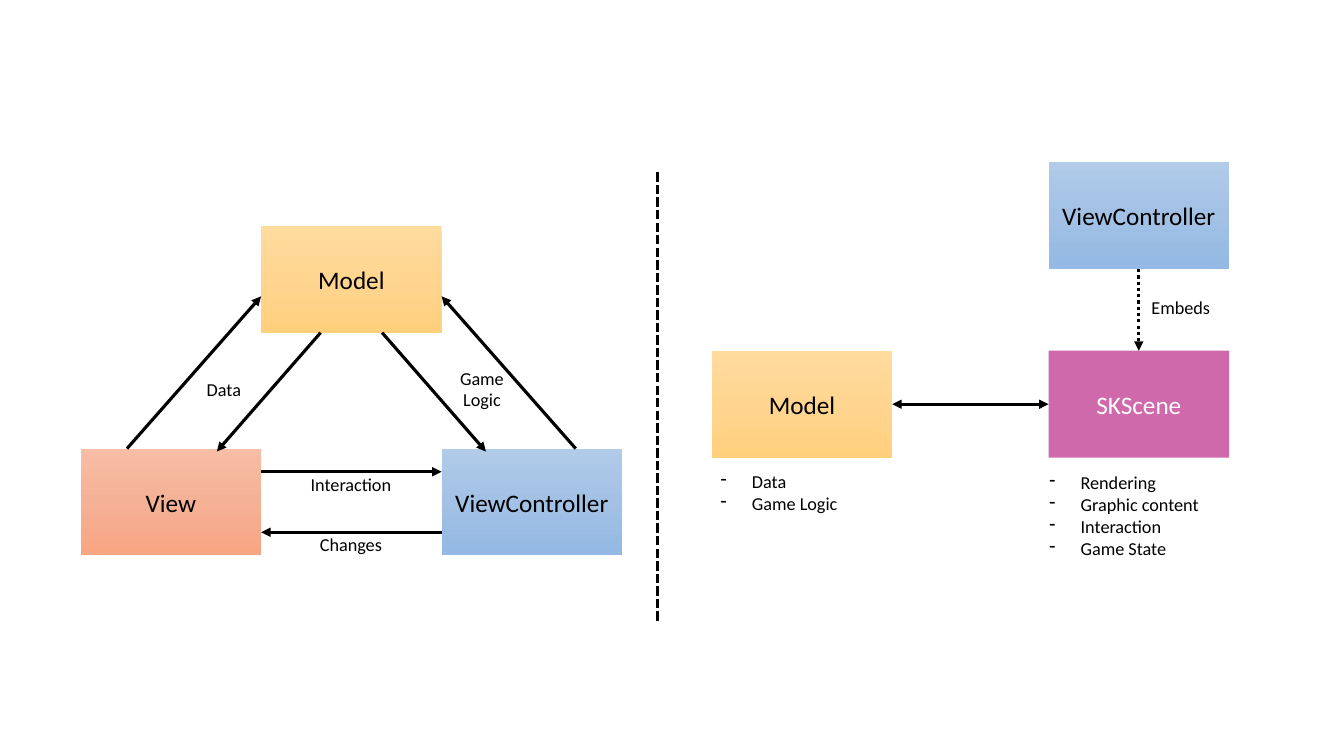
"""Compare a Model-View-Controller triangle with a scene-based architecture."""
from copy import deepcopy
from typing import NamedTuple, Optional

from lxml import etree
from pptx import Presentation
from pptx import util as u
from pptx.dml.color import RGBColor
from pptx.enum import dml, shapes, text
from pptx.oxml import ns

FONT = "Calibri"
COLORS = {"ink": "000000", "paper": "FFFFFF"}
FILLS = {
    "model": ["FFDB9E", "FFD590", "FFD07C"],
    "view": ["F7BDA5", "F5B196", "F8A582"],
    "controller": ["B1CBE9", "A3C1E5", "93B9E4"],
    "scene": ["D069AB"],
}
BOX_W, BOX_H = 1.79, 1.06
VIEW_X, VIEW_Y = 0.8, 4.45
MODEL_X, MODEL_Y = VIEW_X + BOX_W, 2.24
CONTROLLER_X = MODEL_X + BOX_W
MODEL_BOTTOM = MODEL_Y + BOX_H
SCENE_X, SCENE_Y = 10.4, 3.48
DATA_MODEL_X = 7.06
HOST_Y = 1.61
SCENE_MID_X, SCENE_MID_Y = SCENE_X + BOX_W / 2, SCENE_Y + BOX_H / 2
LABEL_W, INDENT = 1.14, 0.31


class Component(NamedTuple):
    """A named box of the architecture."""

    name: str
    x: float
    y: float
    fill: str
    ink: str = "ink"


class Link(NamedTuple):
    """A line between two points, with optional arrowheads."""

    start: tuple[float, float]
    end: tuple[float, float]
    ends: tuple[str, ...] = ("tailEnd",)
    dash: Optional[dml.MSO_LINE] = None


class Caption(NamedTuple):
    """A centred label or a dashed list."""

    lines: list[str]
    x: float
    y: float
    width: float = LABEL_W
    height: float = 0.32
    listed: bool = False


COMPONENTS = [
    Component("View", VIEW_X, VIEW_Y, "view"),
    Component("Model", MODEL_X, MODEL_Y, "model"),
    Component("ViewController", CONTROLLER_X, VIEW_Y, "controller"),
    Component("Model", DATA_MODEL_X, SCENE_Y, "model"),
    Component("SKScene", SCENE_X, SCENE_Y, "scene", "paper"),
    Component("ViewController", SCENE_X, HOST_Y, "controller"),
]
LINKS = [
    Link((6.52, 1.71), (6.52, 6.16), (), dml.MSO_LINE.SQUARE_DOT),
    Link((MODEL_X, 4.68), (CONTROLLER_X, 4.68)),
    Link((CONTROLLER_X, 5.28), (MODEL_X, 5.28)),
    Link((1.26, VIEW_Y), (MODEL_X, 2.94)),
    Link((3.18, MODEL_BOTTOM), (2.15, 4.48)),
    Link((3.79, MODEL_BOTTOM), (4.82, 4.48)),
    Link((5.71, VIEW_Y), (CONTROLLER_X, 2.94)),
    Link((DATA_MODEL_X + BOX_W, SCENE_MID_Y), (SCENE_X, SCENE_MID_Y),
         ("headEnd", "tailEnd")),
    Link((SCENE_MID_X, HOST_Y + BOX_H), (SCENE_MID_X, SCENE_Y),
         dash=dml.MSO_LINE.ROUND_DOT),
]
CAPTIONS = [
    Caption(["Interaction"], 2.91, 4.65),
    Caption(["Changes"], 2.91, 5.24),
    Caption(["Game", "Logic"], 4.21, 3.59, height=0.54),
    Caption(["Data"], 1.65, 3.7),
    Caption(["Embeds"], 11.14, 2.89),
    Caption(["Data", "Game Logic"], 7.05, 4.62, 1.81, 0.54, True),
    Caption(["Rendering", "Graphic content", "Interaction", "Game State"],
            10.31, 4.63, 1.98, 0.98, True),
]


def rgb(name: str) -> RGBColor:
    """Look up a named colour."""
    return RGBColor.from_string(COLORS[name])


def write(paragraph, words: str, size: int, ink: str = "ink") -> None:
    """Add one formatted run."""
    run = paragraph.add_run()
    run.text = words
    run.font.name = FONT
    run.font.size = u.Pt(size)
    run.font.color.rgb = rgb(ink)


def paint(box, tints: list[str]) -> None:
    """Fill a box with one colour or an even top-to-bottom gradient."""
    if len(tints) == 1:
        box.fill.solid()
        box.fill.fore_color.rgb = RGBColor.from_string(tints[0])
        return
    box.fill.gradient()
    box.fill.gradient_angle = 270
    stop_list = box._element.spPr.find(".//" + ns.qn("a:gsLst"))
    stop_list.insert(1, deepcopy(stop_list[0]))
    for index, (stop, tint) in enumerate(zip(box.fill.gradient_stops, tints)):
        stop.position = index / (len(tints) - 1)
        stop.color.rgb = RGBColor.from_string(tint)


def draw_component(slide, component: Component) -> None:
    """Draw a borderless box with its centred name."""
    box = slide.shapes.add_shape(
        shapes.MSO_SHAPE.RECTANGLE, u.Inches(component.x), u.Inches(component.y),
        u.Inches(BOX_W), u.Inches(BOX_H))
    box.shadow.inherit = False
    box.line.fill.background()
    paint(box, FILLS[component.fill])
    frame = box.text_frame
    frame.word_wrap = True
    frame.vertical_anchor = text.MSO_ANCHOR.MIDDLE
    frame.paragraphs[0].alignment = text.PP_ALIGN.CENTER
    write(frame.paragraphs[0], component.name, 18, component.ink)


def draw_link(slide, link: Link) -> None:
    """Draw a line with its dash and arrowheads."""
    connector = slide.shapes.add_connector(
        shapes.MSO_CONNECTOR.STRAIGHT,
        *(u.Inches(value) for value in link.start + link.end))
    connector.line.width = u.Pt(2.25)
    connector.line.color.rgb = rgb("ink")
    if link.dash:
        connector.line.dash_style = link.dash
    properties = connector._element.spPr
    for end in link.ends:
        etree.SubElement(properties.find(ns.qn("a:ln")), ns.qn("a:" + end),
                         type="triangle")
    etree.SubElement(properties, ns.qn("a:effectLst"))


def draw_caption(slide, caption: Caption) -> None:
    """Write a centred label or a dashed list."""
    frame = slide.shapes.add_textbox(
        u.Inches(caption.x), u.Inches(caption.y),
        u.Inches(caption.width), u.Inches(caption.height)).text_frame
    frame.word_wrap = True
    frame.auto_size = text.MSO_AUTO_SIZE.SHAPE_TO_FIT_TEXT
    for index, line in enumerate(caption.lines):
        paragraph = frame.add_paragraph() if index else frame.paragraphs[0]
        if caption.listed:
            properties = paragraph._p.get_or_add_pPr()
            properties.set("marL", str(u.Inches(INDENT)))
            properties.set("indent", str(-u.Inches(INDENT)))
            etree.SubElement(properties, ns.qn("a:buChar"), char="-")
        else:
            paragraph.alignment = text.PP_ALIGN.CENTER
        write(paragraph, line, 13)


def main() -> None:
    """Build and save the slide."""
    deck = Presentation()
    deck.slide_width, deck.slide_height = u.Inches(13.33), u.Inches(7.5)
    slide = deck.slides.add_slide(deck.slide_layouts[6])
    for component in COMPONENTS:
        draw_component(slide, component)
    for link in LINKS:
        draw_link(slide, link)
    for caption in CAPTIONS:
        draw_caption(slide, caption)
    deck.save("out.pptx")


main()
